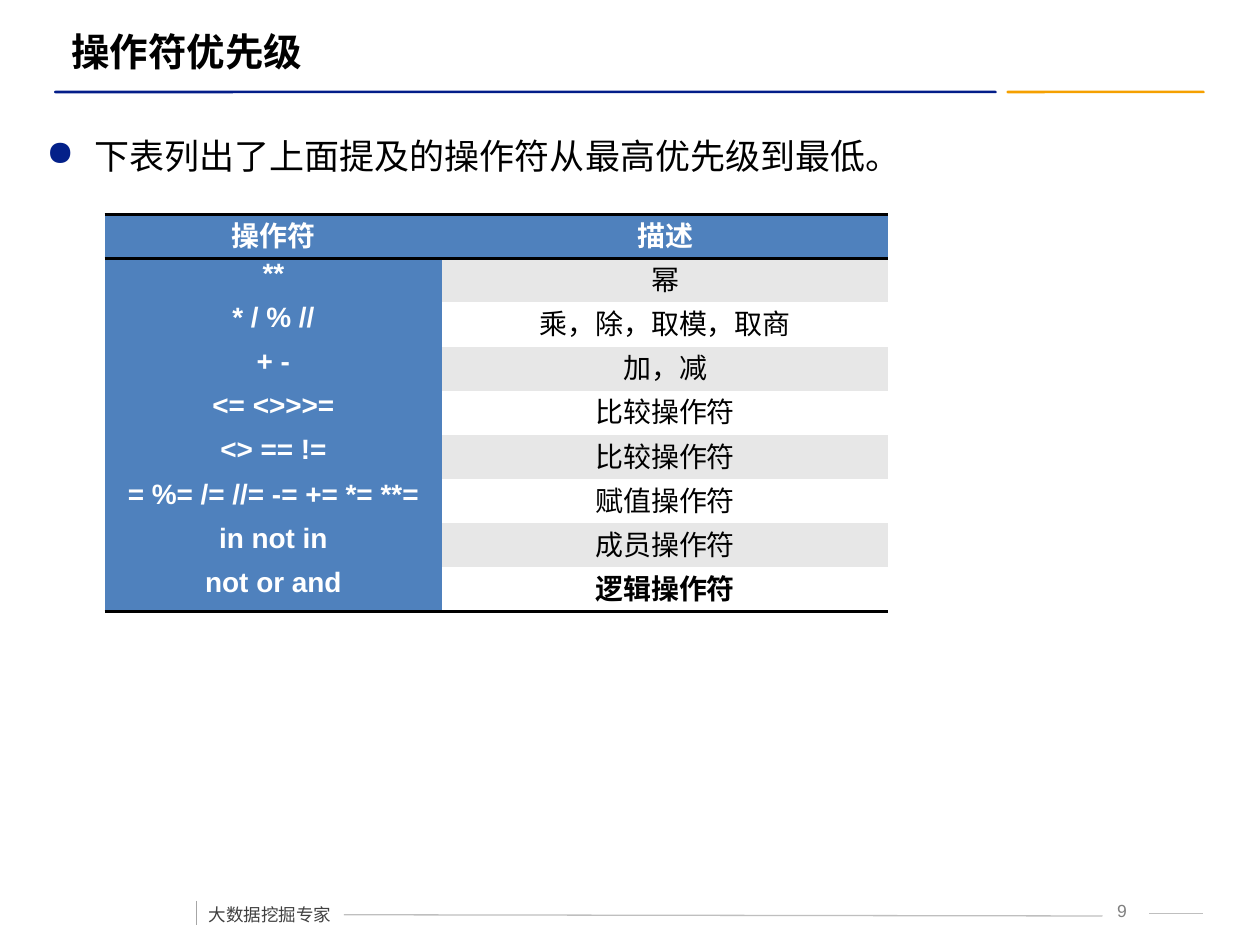
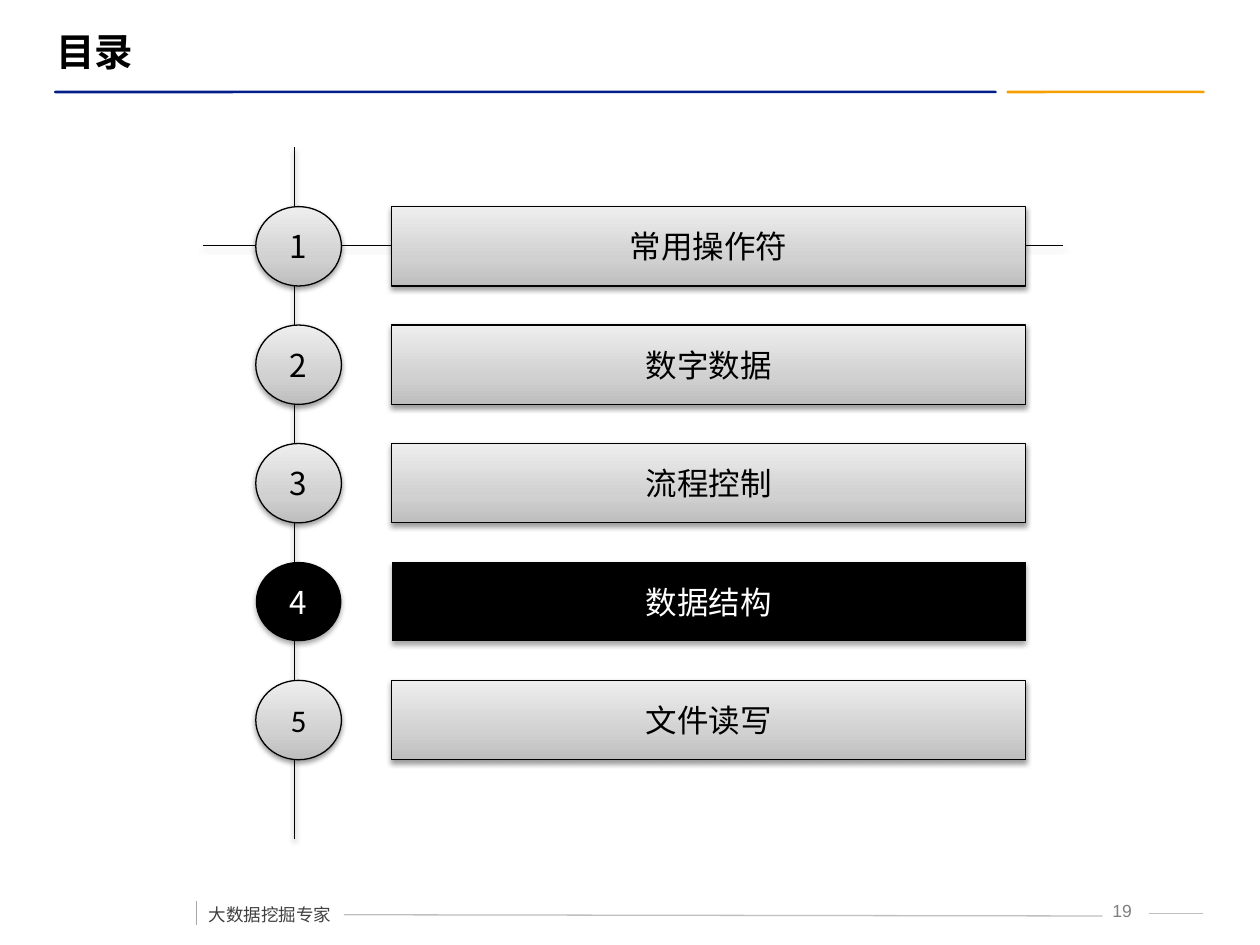
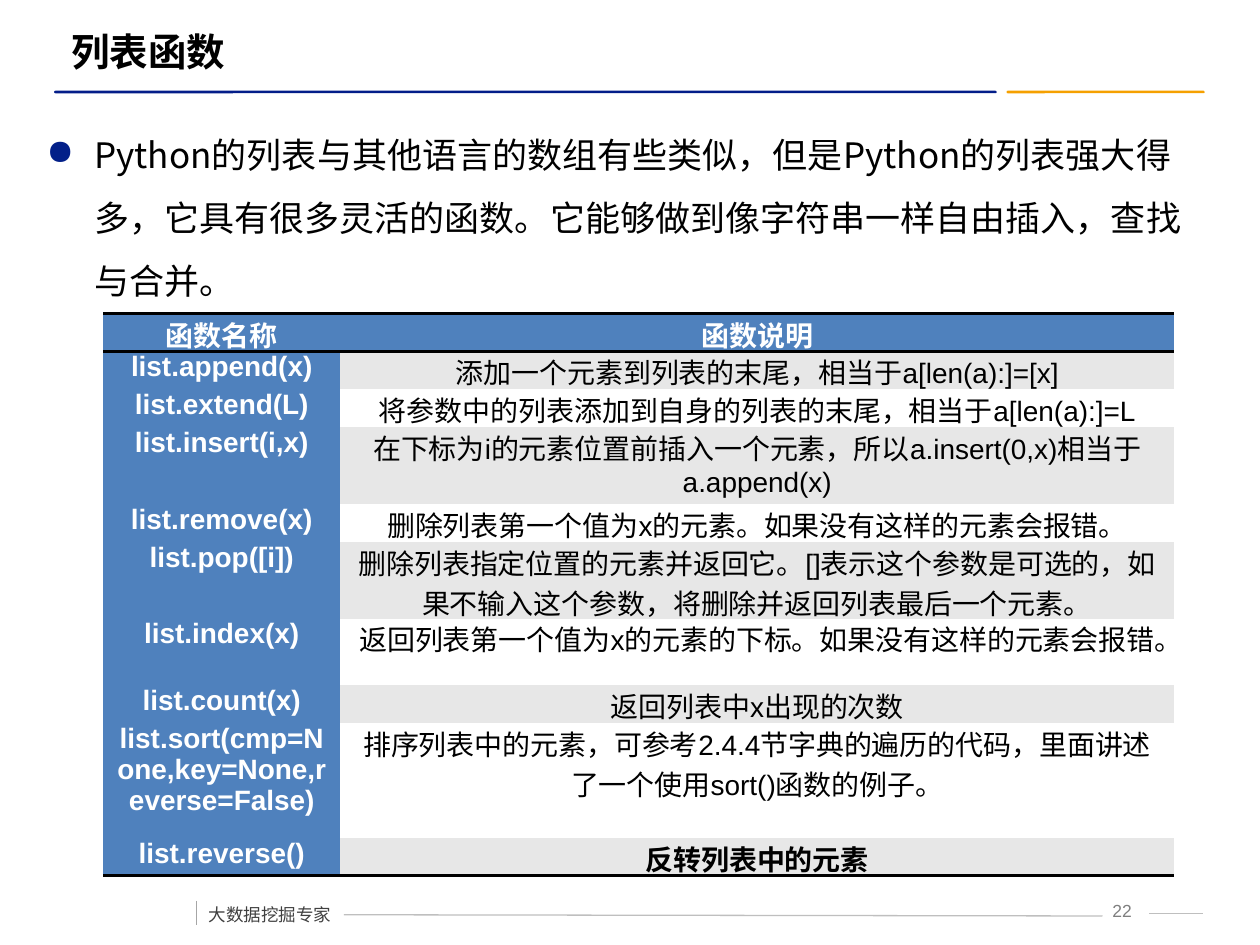
from dataclasses import dataclass

from lxml.etree import SubElement
from pptx import Presentation
from pptx.dml.color import RGBColor as Rgb
from pptx.enum.shapes import MSO_CONNECTOR as Link, MSO_SHAPE as Kind
from pptx.enum.text import MSO_ANCHOR as Anchor, PP_ALIGN as Align
from pptx.oxml import parse_xml
from pptx.oxml.ns import qn
from pptx.util import Inches, Pt

HUES = {
    "navy": "031D89", "gold": "F5A000", "dot": "032089", "black": "000000",
    "white": "FFFFFF", "blue": "4F81BD", "band": "E7E7E7", "page": "7F7F7F",
    "rule": "BFBFBF", "tick": "A6A6A6", "foot": "404040",
}
GLOSS = ((0, "BDBDBD"), (35, "D1D1D1"), (100, "EEEEEE"))
SPACE = 'xmlns:a="http://schemas.openxmlformats.org/drawingml/2006/main"'
PLAIN = "{2D5ABB26-0587-4C30-8999-92F81FD0307C}"
ARIAL, NOTO = "Arial", "Noto Sans CJK SC"


@dataclass
class Box:
    left: float
    top: float
    width: float
    height: float

    def place(self) -> tuple:
        return tuple(Inches(v) for v in (self.left, self.top, self.width, self.height))


@dataclass
class Type:
    size: float
    font: str = NOTO
    hue: str = "black"
    bold: bool = False


@dataclass
class Rule:
    start: tuple
    end: tuple
    hue: str


@dataclass
class Bar:
    box: Box
    hue: str
    curve: float


@dataclass
class Step:
    label: str
    font: str = NOTO
    live: bool = False


@dataclass
class Grid:
    box: Box
    cols: tuple
    highs: tuple
    inset: float
    rows: tuple


BARS = (
    Bar(Box(7.99, 0.72, 1.57, 0.02), "gold", 0.36),
    Bar(Box(0.43, 0.72, 7.48, 0.02), "navy", 0.5),
)
RULES = (
    Rule((2.73, 7.26), (8.75, 7.27), "rule"),
    Rule((9.12, 7.25), (9.55, 7.25), "rule"),
    Rule((1.56, 7.15), (1.56, 7.34), "tick"),
)
STEPS = (
    Step("常用操作符"), Step("数字数据"), Step("流程控制"),
    Step("数据结构", live=True), Step("文件读写", "Calibri"),
)
SIGNS = Grid(Box(0.83, 1.7, 6.22, 3.15), (2.68, 3.54), (0.35,) * 9, 0.07, (
    ("操作符", "描述"),
    ("**", "幂"),
    ("* / % //", "乘，除，取模，取商"),
    ("+ -", "加，减"),
    ("<= <>>>=", "比较操作符"),
    ("<> == !=", "比较操作符"),
    ("= %= /= //= -= += *= **=", "赋值操作符"),
    ("in not in", "成员操作符"),
    ("not or and", "逻辑操作符"),
))
CALLS = Grid(
    Box(0.82, 2.49, 8.5, 4.48), (1.88, 6.62),
    (0.3, 0.3, 0.3, 0.61, 0.3, 0.61, 0.53, 0.3, 0.91, 0.3), 0.08, (
        ("函数名称", "函数说明"),
        ("list.append(x)", "添加一个元素到列表的末尾，相当于a[len(a):]=[x]"),
        ("list.extend(L)", "将参数中的列表添加到自身的列表的末尾，相当于a[len(a):]=L"),
        ("list.insert(i,x)", "在下标为i的元素位置前插入一个元素，所以a.insert(0,x)相当于a.append(x)"),
        ("list.remove(x)", "删除列表第一个值为x的元素。如果没有这样的元素会报错。"),
        ("list.pop([i])", "删除列表指定位置的元素并返回它。[]表示这个参数是可选的，如果不输入这个参数，将删除并返回列表最后一个元素。"),
        ("list.index(x)", "返回列表第一个值为x的元素的下标。如果没有这样的元素会报错。"),
        ("list.count(x)", "返回列表中x出现的次数"),
        ("list.sort(cmp=None,key=None,reverse=False)", "排序列表中的元素，可参考2.4.4节字典的遍历的代码，里面讲述了一个使用sort()函数的例子。"),
        ("list.reverse()", "反转列表中的元素"),
    ))


def tint(name: str) -> Rgb:
    return Rgb.from_string(HUES[name])


def write(para, text: str, kind: Type, align=Align.LEFT) -> None:
    para.alignment = align
    run = para.add_run()
    run.text = text
    font = run.font
    font.size, font.bold, font.name = Pt(kind.size), kind.bold, kind.font
    font.color.rgb = tint(kind.hue)
    SubElement(font._element, qn("a:ea"), typeface=NOTO)


def add_text(slide, box: Box, text: str, kind: Type, align=Align.LEFT,
             anchor=Anchor.TOP, wrap: bool = True, lead: float = 1.0):
    frame = slide.shapes.add_textbox(*box.place()).text_frame
    frame.word_wrap, frame.vertical_anchor = wrap, anchor
    para = frame.paragraphs[0]
    para.line_spacing = lead
    write(para, text, kind, align)
    return para


def add_rule(slide, rule: Rule):
    ends = [Inches(v) for v in (*rule.start, *rule.end)]
    line = slide.shapes.add_connector(Link.STRAIGHT, *ends)
    line.line.color.rgb, line.line.width = tint(rule.hue), Pt(0.75)
    SubElement(line._element.spPr, qn("a:effectLst"))
    return line


def add_shade(shape, alpha: int = 38, drop: float = 1.6) -> None:
    props = shape._element.spPr
    for old in props.findall(qn("a:effectLst")):
        props.remove(old)
    props.append(parse_xml(
        f'<a:effectLst {SPACE}><a:outerShdw blurRad="{Pt(3.1)}" dist="{Pt(drop)}" '
        f'dir="5400000" rotWithShape="0"><a:srgbClr val="{HUES["black"]}">'
        f'<a:alpha val="{alpha * 1000}"/></a:srgbClr></a:outerShdw></a:effectLst>'))


def add_gloss(shape) -> None:
    stops = "".join(f'<a:gs pos="{at * 1000}"><a:srgbClr val="{hue}"/></a:gs>'
                    for at, hue in GLOSS)
    shape.fill.background()
    props = shape._element.spPr
    props.replace(props.find(qn("a:noFill")), parse_xml(
        f'<a:gradFill {SPACE} rotWithShape="1"><a:gsLst>{stops}</a:gsLst>'
        f'<a:lin ang="16200000" scaled="0"/></a:gradFill>'))


def add_base(deck, title: str, page: int, left: float = 0.47):
    slide = deck.slides.add_slide(deck.slide_layouts[6])
    for bar in BARS:
        shape = slide.shapes.add_shape(Kind.ROUNDED_RECTANGLE, *bar.box.place())
        shape.adjustments[0] = bar.curve
        shape.shadow.inherit = False
        shape.fill.solid()
        shape.fill.fore_color.rgb = tint(bar.hue)
        shape.line.fill.background()
    add_text(slide, Box(8.67, 7.09, 0.47, 0.25), str(page),
             Type(10, ARIAL, "page"), Align.CENTER)
    for rule in RULES:
        add_rule(slide, rule)
    add_text(slide, Box(1.56, 7.04, 1.18, 0.35), "大数据挖掘专家",
             Type(10, hue="foot"), wrap=False, lead=1.5)
    add_text(slide, Box(left, 0.17, 9, 0.47), title,
             Type(22, ARIAL, bold=True), anchor=Anchor.MIDDLE)
    return slide


def add_point(slide, box: Box, text: str) -> None:
    para = add_text(slide, box, text, Type(20), lead=1.5)
    props = para._p.get_or_add_pPr()
    props.set("marL", str(Inches(0.38)))
    props.set("indent", str(-Inches(0.38)))
    SubElement(SubElement(props, qn("a:buClr")), qn("a:srgbClr"), val=HUES["dot"])
    SubElement(props, qn("a:buChar"), char="●")


def add_edges(cell, sides: list) -> None:
    props = cell._tc.get_or_add_tcPr()
    for i, side in enumerate(sides):
        props.insert(i, parse_xml(
            f'<a:{side} {SPACE} w="{Pt(2)}"><a:solidFill>'
            f'<a:srgbClr val="{HUES["black"]}"/></a:solidFill></a:{side}>'))


def add_grid(slide, grid: Grid) -> None:
    last = len(grid.rows) - 1
    table = slide.shapes.add_table(last + 1, len(grid.cols), *grid.box.place()).table
    table.first_row = table.horz_banding = False
    table._tbl.tblPr.find(qn("a:tableStyleId")).text = PLAIN
    for col, width in zip(table.columns, grid.cols):
        col.width = Inches(width)
    for r, (row, high) in enumerate(zip(grid.rows, grid.highs)):
        table.rows[r].height = Inches(high)
        for c, text in enumerate(row):
            cell = table.cell(r, c)
            head = r == 0 or c == 0
            cell.margin_left = cell.margin_right = Inches(grid.inset)
            cell.margin_top = cell.margin_bottom = 0
            cell.fill.solid()
            cell.fill.fore_color.rgb = tint("blue" if head else "band" if r % 2 else "white")
            kind = Type(16, ARIAL, "white" if head else "black", head or r == last)
            write(cell.text_frame.paragraphs[0], text, kind, Align.CENTER)
            add_edges(cell, ["lnT"] * (r == 0) + ["lnB"] * (r in (0, last)))


def add_step(slide, kind, box: Box, text: str, step: Step) -> None:
    shape = slide.shapes.add_shape(kind, *box.place())
    if step.live:
        shape.fill.solid()
        shape.fill.fore_color.rgb = tint("black")
        shape.line.fill.background()
        add_shade(shape, 35, 1.8)
    else:
        add_gloss(shape)
        shape.line.color.rgb, shape.line.width = tint("black"), Pt(0.75)
        add_shade(shape)
    frame = shape.text_frame
    frame.word_wrap, frame.vertical_anchor = False, Anchor.MIDDLE
    hue = "white" if step.live else "black"
    write(frame.paragraphs[0], text, Type(18, step.font, hue), Align.CENTER)


def add_steps(slide) -> None:
    for rule in (Rule((2.34, 1.17), (2.34, 6.66), "black"),
                 Rule((1.61, 1.95), (8.44, 1.95), "black")):
        add_shade(add_rule(slide, rule))
    for i, step in enumerate(STEPS):
        top = 1.64 + 0.94 * i
        add_step(slide, Kind.OVAL, Box(2.03, top, 0.68, 0.63), str(i + 1), step)
        add_step(slide, Kind.ACTION_BUTTON_CUSTOM, Box(3.11, top, 5.03, 0.63),
                 step.label, step)


def main() -> None:
    deck = Presentation()
    deck.slide_width, deck.slide_height = Inches(10), Inches(7.5)

    slide = add_base(deck, "操作符优先级", 9)
    add_point(slide, Box(0.27, 0.85, 9.27, 0.78),
              "下表列出了上面提及的操作符从最高优先级到最低。")
    add_grid(slide, SIGNS)

    add_steps(add_base(deck, "目录", 19, 0.35))

    slide = add_base(deck, "列表函数", 22)
    add_point(slide, Box(0.27, 0.84, 9.29, 1.57),
              "Python的列表与其他语言的数组有些类似，但是Python的列表强大得多，"
              "它具有很多灵活的函数。它能够做到像字符串一样自由插入，查找与合并。")
    add_grid(slide, CALLS)
    deck.save("out.pptx")


if __name__ == "__main__":
    main()
